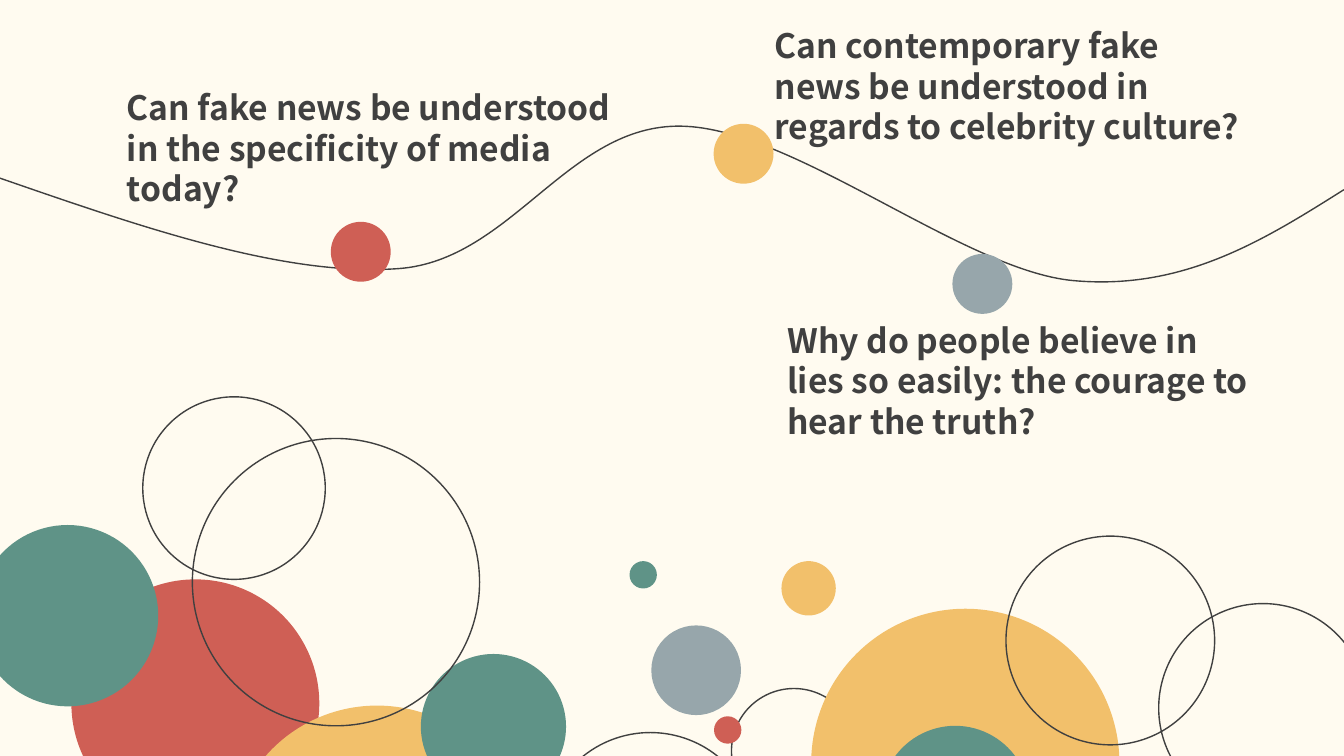
from lxml.etree import SubElement
from pptx import Presentation
from pptx.dml.color import RGBColor
from pptx.enum.shapes import MSO_SHAPE as SHAPE
from pptx.enum.text import MSO_AUTO_SIZE as AUTO_SIZE
from pptx.oxml.ns import qn
from pptx.util import Cm, Pt

CREAM = RGBColor(0xFF, 0xFB, 0xF0)
CHARCOAL = RGBColor(0x40, 0x40, 0x40)
RED = RGBColor(0xCF, 0x5F, 0x55)
YELLOW = RGBColor(0xF2, 0xC0, 0x6B)
GREEN = RGBColor(0x5F, 0x93, 0x87)
GRAY = RGBColor(0x97, 0xA6, 0xAB)
OUTLINE = None  # a circle with a line and no fill

FONT = "Noto Sans CJK SC"
WIDTH, HEIGHT = 33.88, 19.05
MARKER_SIZE = 1.51

# All places below are in cm, relative to the box of their region
# left, top, diameter, colour; from back to front
BUBBLES = [
    (1.8, 4.6, 6.25, RED),
    (5.77, 7.78, 7.47, YELLOW),
    (10.61, 6.48, 3.66, GREEN),
    (13.69, 8.46, 5.41, OUTLINE),
    (4.85, 1.05, 7.24, OUTLINE),
    (-0.58, 3.23, 4.57, GREEN),
    (18.44, 7.35, 3.15, OUTLINE),
    (20.45, 5.34, 7.77, YELLOW),
    (22.2, 8.29, 3.76, GREEN),
    (25.36, 3.51, 5.26, OUTLINE),
    (29.21, 5.21, 5.26, OUTLINE),
    (16.42, 5.76, 2.26, GRAY),
    (18, 8.05, 0.69, RED),
    (15.87, 4.14, 0.69, GREEN),
    (19.7, 4.14, 1.37, YELLOW),
    (3.6, 0, 4.6, OUTLINE),
]

# Start point, then two control points and an end point for each curve
WAVE = [
    (0, 4.49),
    (3.61, 5.74), (7.19, 6.98), (10.05, 6.77),
    (12.9, 6.56), (14.32, 3.13), (17.17, 3.18),
    (19.99, 3.22), (24.26, 6.8), (27.04, 7.07),
    (29.82, 7.33), (31.85, 6.06), (33.88, 4.78),
]
WAVE_TOP, WAVE_BOTTOM = 3.17, 7.11
MARKERS = [(8.34, 5.59, RED), (17.99, 3.12, YELLOW), (24.01, 6.4, GRAY)]

# left, top, width, wording
QUESTIONS = [
    (19.28, 0.51, 12.47, "Can contemporary fake news be understood in regards to celebrity culture?"),
    (2.95, 2.07, 13.44, "Can fake news be understood in the specificity of media today?"),
    (19.6, 7.94, 12.42, "Why do people believe in lies so easily: the courage to hear the truth?"),
]


def draw_line(shape):
    shape.line.color.rgb = CHARCOAL
    shape.line.width = Pt(1)


def add_circle(slide, left, top, diameter, color):
    shape = slide.shapes.add_shape(SHAPE.OVAL, Cm(left), Cm(top), Cm(diameter), Cm(diameter))
    shape.shadow.inherit = False
    if color is OUTLINE:
        shape.fill.background()
        draw_line(shape)
    else:
        shape.fill.solid()
        shape.fill.fore_color.rgb = color
        shape.line.fill.background()


def add_bubbles(slide, left, top):
    for x, y, diameter, color in BUBBLES:
        add_circle(slide, left + x, top + y, diameter, color)


def add_command(outline, name, points):
    command = SubElement(outline, qn(name))
    for x, y in points:
        SubElement(command, qn("a:pt"), x=str(Cm(x)), y=str(Cm(y - WAVE_TOP)))


def add_wave(slide, left, top):
    # The diagonal sets the extent; curves then take its place
    builder = slide.shapes.build_freeform(Cm(left), Cm(top + WAVE_TOP))
    builder.add_line_segments([(Cm(left + WIDTH), Cm(top + WAVE_BOTTOM))], close=False)
    wave = builder.convert_to_shape()
    outline = next(wave.element.iter(qn("a:path")))
    for command in list(outline):
        outline.remove(command)
    add_command(outline, "a:moveTo", WAVE[:1])
    for start in range(1, len(WAVE), 3):
        add_command(outline, "a:cubicBezTo", WAVE[start:start + 3])
    wave.shadow.inherit = False
    wave.fill.background()
    draw_line(wave)


def add_timeline(slide, left, top):
    add_wave(slide, left, top)
    # Markers along the wave
    for x, y, color in MARKERS:
        add_circle(slide, left + x, top + y, MARKER_SIZE, color)


def add_questions(slide, left, top):
    for x, y, width, wording in QUESTIONS:
        box = slide.shapes.add_textbox(Cm(left + x), Cm(top + y), Cm(width), Cm(3.33))
        frame = box.text_frame
        frame.word_wrap = True
        frame.auto_size = AUTO_SIZE.SHAPE_TO_FIT_TEXT
        paragraph = frame.paragraphs[0]
        paragraph.text = wording
        paragraph.line_spacing = Pt(28.8)
        paragraph.font.name = FONT
        paragraph.font.size = Pt(24)
        paragraph.font.bold = True
        paragraph.font.color.rgb = CHARCOAL


def main():
    presentation = Presentation()
    presentation.slide_width = Cm(WIDTH)
    presentation.slide_height = Cm(HEIGHT)
    slide = presentation.slides.add_slide(presentation.slide_layouts[6])
    slide.background.fill.solid()
    slide.background.fill.fore_color.rgb = CREAM

    add_bubbles(slide, 0, 10)
    add_timeline(slide, 0, 0)
    add_questions(slide, 0, 0)
    presentation.save("out.pptx")


if __name__ == "__main__":
    main()
